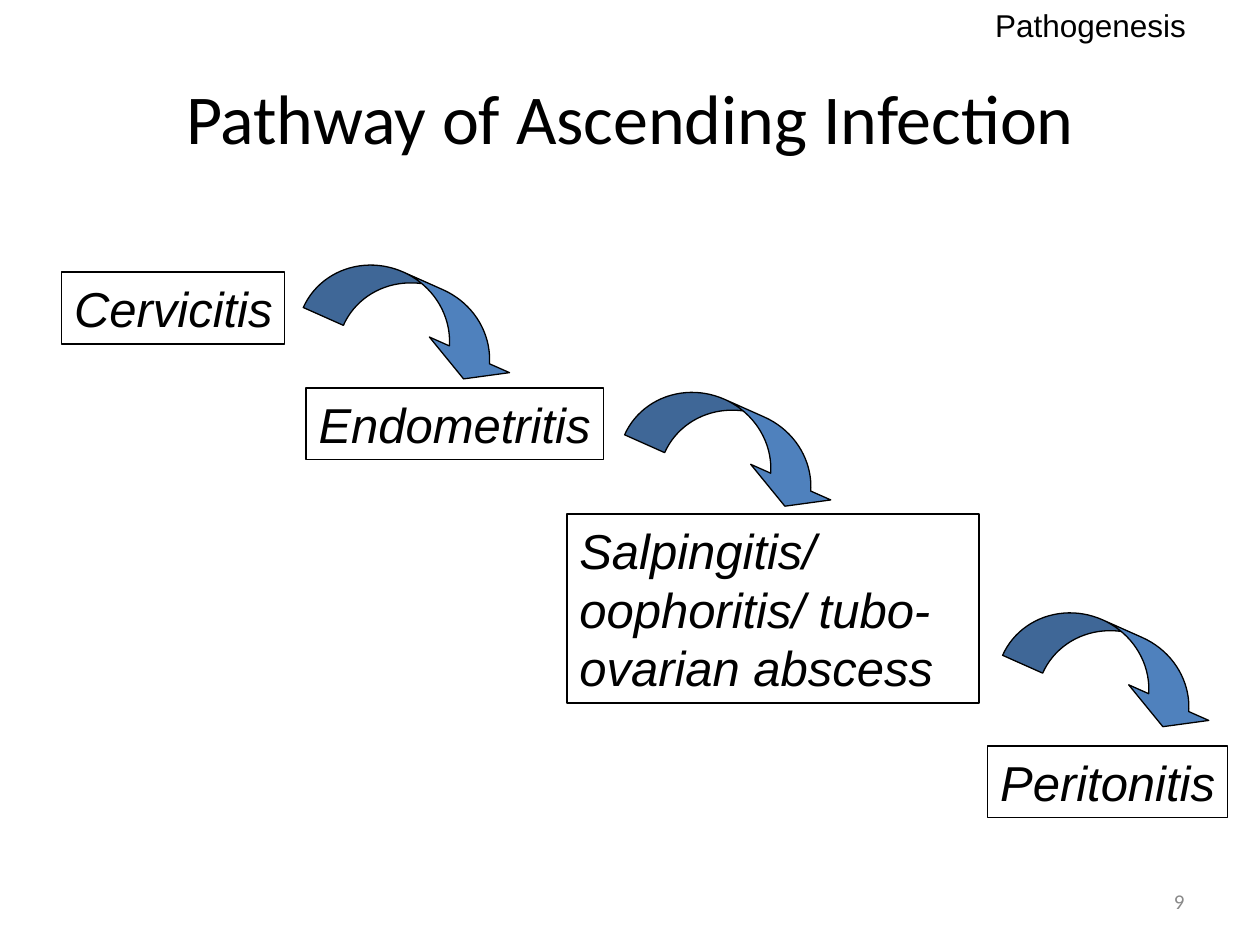
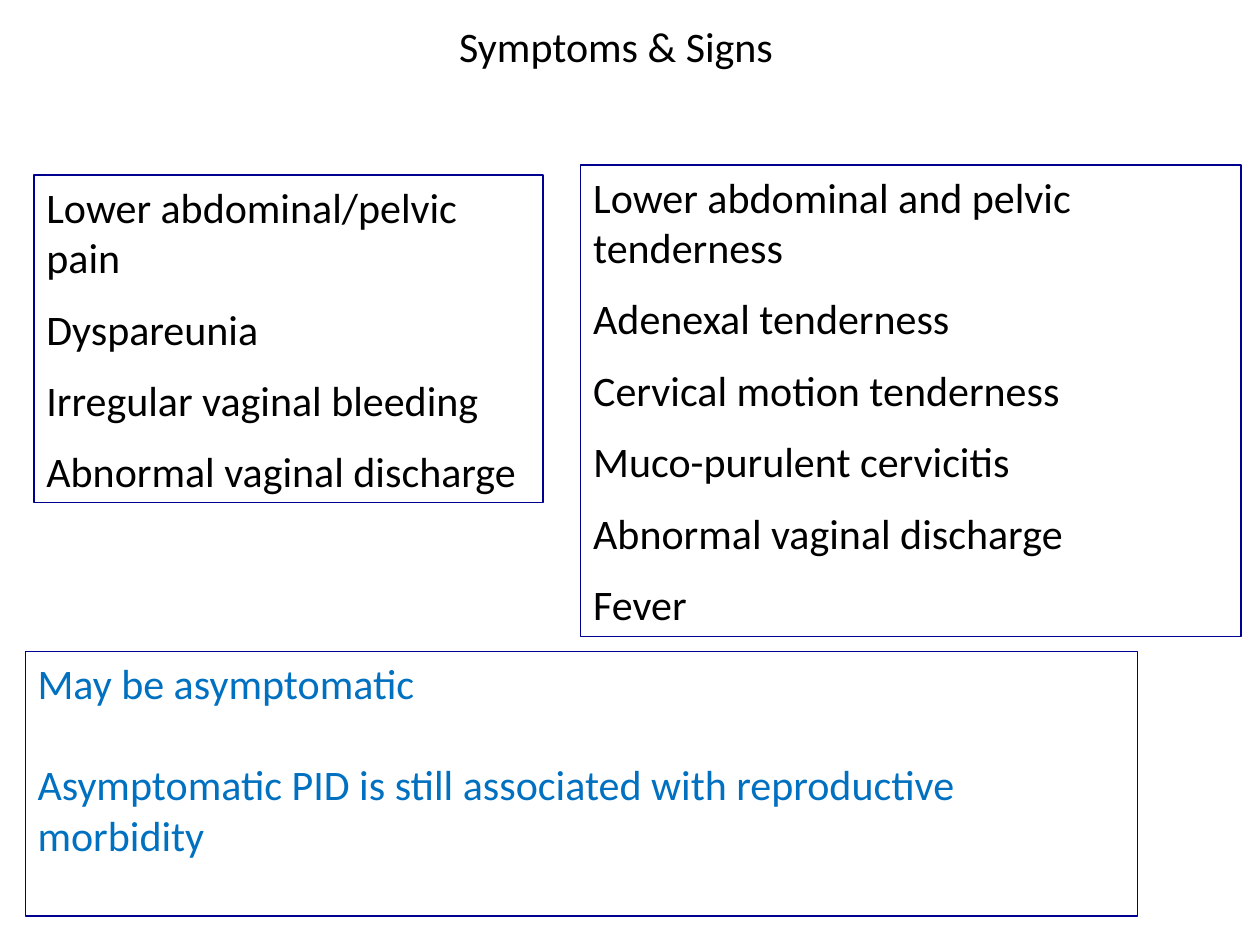
import pptx
import pptx.util
import pptx.dml.color
import pptx.enum.shapes
import pptx.enum.text

Inches = pptx.util.Inches
Pt = pptx.util.Pt
SHAPES = pptx.enum.shapes.MSO_SHAPE
ALIGN = pptx.enum.text.PP_ALIGN
ANCHOR = pptx.enum.text.MSO_ANCHOR

COLORS = {
    "text": "000000",
    "number": "898989",
    "stage_line": "000000",
    "panel_line": "000090",
    "arrow": "4F81BD",
    "highlight": "0070C0",
}
BODY_FONT = "Calibri"
LABEL_FONT = "Arial"
LINE_WIDTH = Pt(0.75)
ARROW_SIZE = (1.74, 0.58)
ARROW_ANGLE = 24
ARROW_ADJUSTMENTS = (0.6, 1.2, 0.333)

STAGES = [
    ("Cervicitis", (0.49, 2.16, 1.77, 0.57), False),
    ("Endometritis", (2.43, 3.08, 2.36, 0.57), False),
    ("Salpingitis/ oophoritis/ tubo-ovarian abscess", (4.5, 4.08, 3.27, 1.5), True),
    ("Peritonitis", (7.84, 5.92, 1.9, 0.57), False),
]
ARROW_CORNERS = [(2.45, 2.24), (5, 3.25), (8, 5)]

SYMPTOMS = [
    "Lower abdominal/pelvic pain",
    "Dyspareunia",
    "Irregular vaginal bleeding",
    "Abnormal vaginal discharge",
]
SIGNS = [
    "Lower abdominal and pelvic tenderness",
    "Adenexal tenderness",
    "Cervical motion tenderness",
    "Muco-purulent cervicitis",
    "Abnormal vaginal discharge",
    "Fever",
]
ASYMPTOMATIC = [
    "May be asymptomatic",
    "Asymptomatic PID is still associated with reproductive morbidity",
]


def rgb(name):
    return pptx.dml.color.RGBColor.from_string(COLORS[name])


def to_inches(box):
    return [Inches(length) for length in box]


def write(shape, lines, size, font=BODY_FONT, color="text", italic=False,
          align=ALIGN.LEFT, anchor=ANCHOR.TOP, wrap=True, gap=0):
    frame = shape.text_frame
    frame.text = "\n".join(lines)
    frame.word_wrap = wrap
    frame.vertical_anchor = anchor
    for paragraph in frame.paragraphs:
        paragraph.alignment = align
        for run in paragraph.runs:
            run.font.name = font
            run.font.size = Pt(size)
            run.font.italic = italic
            run.font.color.rgb = rgb(color)
    for paragraph in frame.paragraphs[:-1]:
        paragraph.space_after = Pt(gap)


def add_label(slide, box, text, size, **style):
    write(slide.shapes.add_textbox(*to_inches(box)), [text], size, **style)


def add_title(slide, box, text, size):
    add_label(slide, box, text, size, align=ALIGN.CENTER, anchor=ANCHOR.MIDDLE)


def add_outlined_box(slide, box, line_color, lines, size, **style):
    shape = slide.shapes.add_shape(SHAPES.RECTANGLE, *to_inches(box))
    shape.shadow.inherit = False
    shape.fill.background()
    shape.line.color.rgb = rgb(line_color)
    shape.line.width = LINE_WIDTH
    write(shape, lines, size, **style)


def add_panel(slide, box, lines, **style):
    add_outlined_box(slide, box, "panel_line", lines, 24, **style)


def add_curved_arrow(slide, corner):
    arrow = slide.shapes.add_shape(
        SHAPES.CURVED_DOWN_ARROW, *to_inches(corner + ARROW_SIZE))
    arrow.shadow.inherit = False
    arrow.rotation = ARROW_ANGLE
    for index, value in enumerate(ARROW_ADJUSTMENTS):
        arrow.adjustments[index] = value
    arrow.fill.solid()
    arrow.fill.fore_color.rgb = rgb("arrow")
    arrow.line.color.rgb = rgb("stage_line")
    arrow.line.width = LINE_WIDTH


def build_pathway_slide(slide):
    add_label(slide, (7.17, 6.95, 2.33, 0.4), "9", 12, color="number",
              align=ALIGN.RIGHT, anchor=ANCHOR.MIDDLE)
    add_title(slide, (0.5, 0.3, 9, 1.25), "Pathway of Ascending Infection", 40)
    for name, box, wrap in STAGES:
        add_outlined_box(slide, box, "stage_line", [name], 28,
                         font=LABEL_FONT, italic=True, wrap=wrap)
    for corner in ARROW_CORNERS:
        add_curved_arrow(slide, corner)
    add_label(slide, (7.8, 0, 1.9, 0.4), "Pathogenesis", 18, font=LABEL_FONT)


def build_symptoms_slide(slide):
    add_title(slide, (0.64, 0, 8.5, 0.73), "Symptoms & Signs", 24)
    add_panel(slide, (0.27, 1.39, 4.04, 2.6), SYMPTOMS, gap=12)
    add_panel(slide, (4.61, 1.31, 5.24, 3.74), SIGNS, gap=12)
    add_panel(slide, (0.2, 5.17, 8.83, 2.1), ASYMPTOMATIC,
              color="highlight", gap=29)


def main():
    presentation = pptx.Presentation()
    presentation.slide_width = Inches(10)
    presentation.slide_height = Inches(7.5)
    blank_layout = presentation.slide_layouts[6]
    for build in (build_pathway_slide, build_symptoms_slide):
        build(presentation.slides.add_slide(blank_layout))
    presentation.save("out.pptx")


if __name__ == "__main__":
    main()
